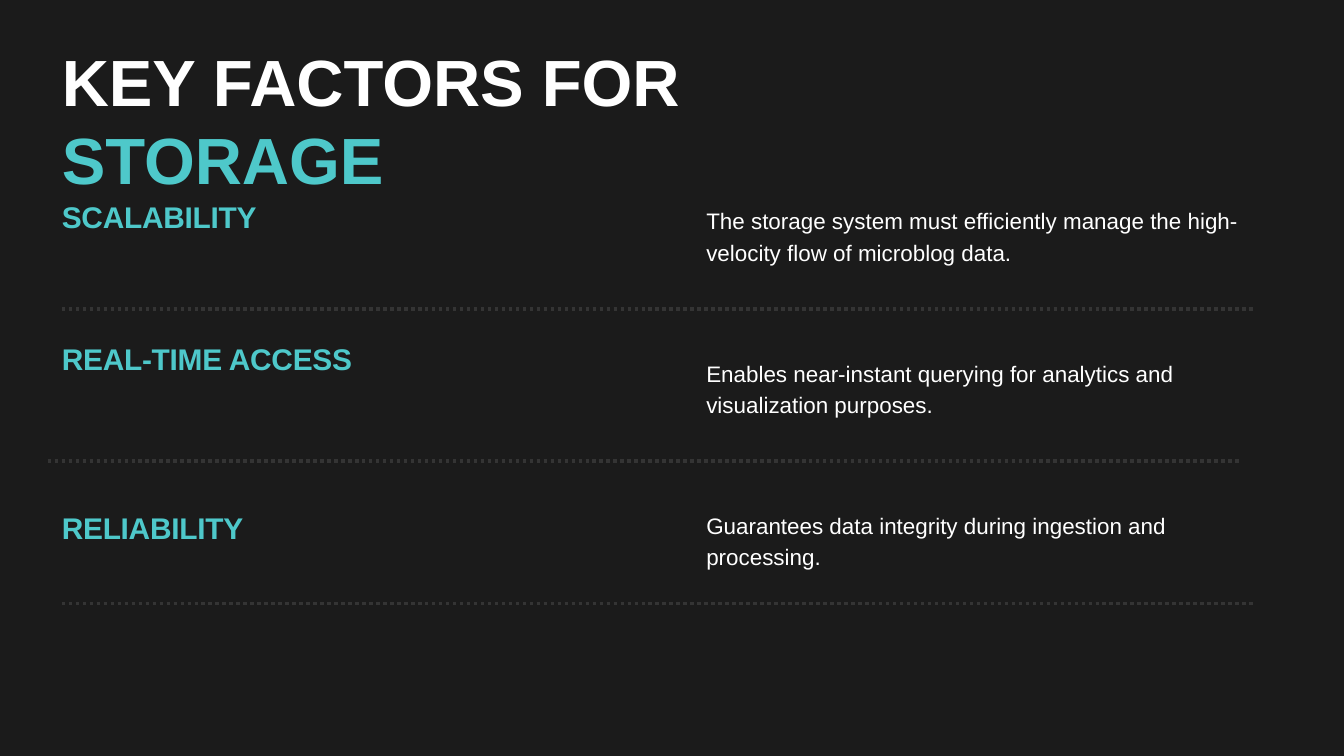
from lxml.etree import SubElement
from pptx import Presentation
from pptx.dml.color import RGBColor
from pptx.enum.dml import MSO_LINE
from pptx.enum.shapes import MSO_CONNECTOR
from pptx.enum.text import MSO_AUTO_SIZE
from pptx.oxml.ns import qn
from pptx.util import Inches, Pt

rgb = RGBColor.from_string
DARK, GREY, WHITE, TEAL = "1B1B1B", "343434", "FFFFFF", "4EC8CA"

prs = Presentation()
prs.slide_width, prs.slide_height = Inches(20), Inches(11.25)
s = prs.slides.add_slide(prs.slide_layouts[6])
s.background.fill.solid()
s.background.fill.fore_color.rgb = rgb(DARK)

# Grid of 20 columns by 11.25 rows, so that cells are square
CELL = prs.slide_width // 20
LEFT, RIGHT = 0.92, 10.51
LABEL_W, BODY_W, RULE_W = 7, 8.15, 17.75
FIRST_BODY, BODY_STEP = 3.02, 2.265


def add_text(x, y, w, h, runs, size, spacing, bold=False, tracking=0):
    """Place one paragraph; runs are (text, colour), tracking is in 1/100 pt."""
    tf = s.shapes.add_textbox(*(round(v * CELL) for v in (x, y, w, h))).text_frame
    frame = dict(margin_left=0, margin_top=0, margin_right=0, margin_bottom=0,
                 word_wrap=True, auto_size=MSO_AUTO_SIZE.SHAPE_TO_FIT_TEXT)
    for name, value in frame.items():
        setattr(tf, name, value)
    p = tf.paragraphs[0]
    p.line_spacing = Pt(spacing)
    for text, colour in runs:
        r = p.add_run()
        r.text = text
        for name, value in dict(name="Arial", size=Pt(size), bold=bold).items():
            setattr(r.font, name, value)
        r.font.color.rgb = rgb(colour)
        if tracking:
            r.font._element.set("spc", str(tracking))


# label, label row, label height, description, rule column, rule row
factors = [
    ("SCALABILITY", 2.96, 1.04,
     "The storage system must efficiently manage the high-velocity flow of microblog data.",
     LEFT, 4.6),
    ("REAL-TIME ACCESS", 5.07, 0.54,
     "Enables near-instant querying for analytics and visualization purposes.",
     0.71, 6.86),
    ("RELIABILITY", 7.59, 0.54,
     "Guarantees data integrity during ingestion and processing.",
     LEFT, 8.98),
]

for i, (label, label_y, label_h, body, rule_x, rule_y) in enumerate(factors):
    ends = (rule_x, rule_y, rule_x + RULE_W, rule_y)
    rule = s.shapes.add_connector(MSO_CONNECTOR.STRAIGHT, *(round(v * CELL) for v in ends))
    rule.line.color.rgb = rgb(GREY)
    rule.line.width = Pt(3.75)
    rule.line.dash_style = MSO_LINE.ROUND_DOT
    SubElement(rule._element.spPr, qn("a:effectLst"))

    add_text(RIGHT, FIRST_BODY + i * BODY_STEP, BODY_W, 0.9, [(body, WHITE)], 24, 33.6)
    add_text(LEFT, label_y, LABEL_W, label_h, [(label, TEAL)], 32, 38.4,
             bold=True, tracking=-30)

add_text(LEFT, 0.61, 13.79, 1.16, [("KEY FACTORS FOR ", WHITE), ("STORAGE", TEAL)],
         70, 84, bold=True)

prs.save("out.pptx")
